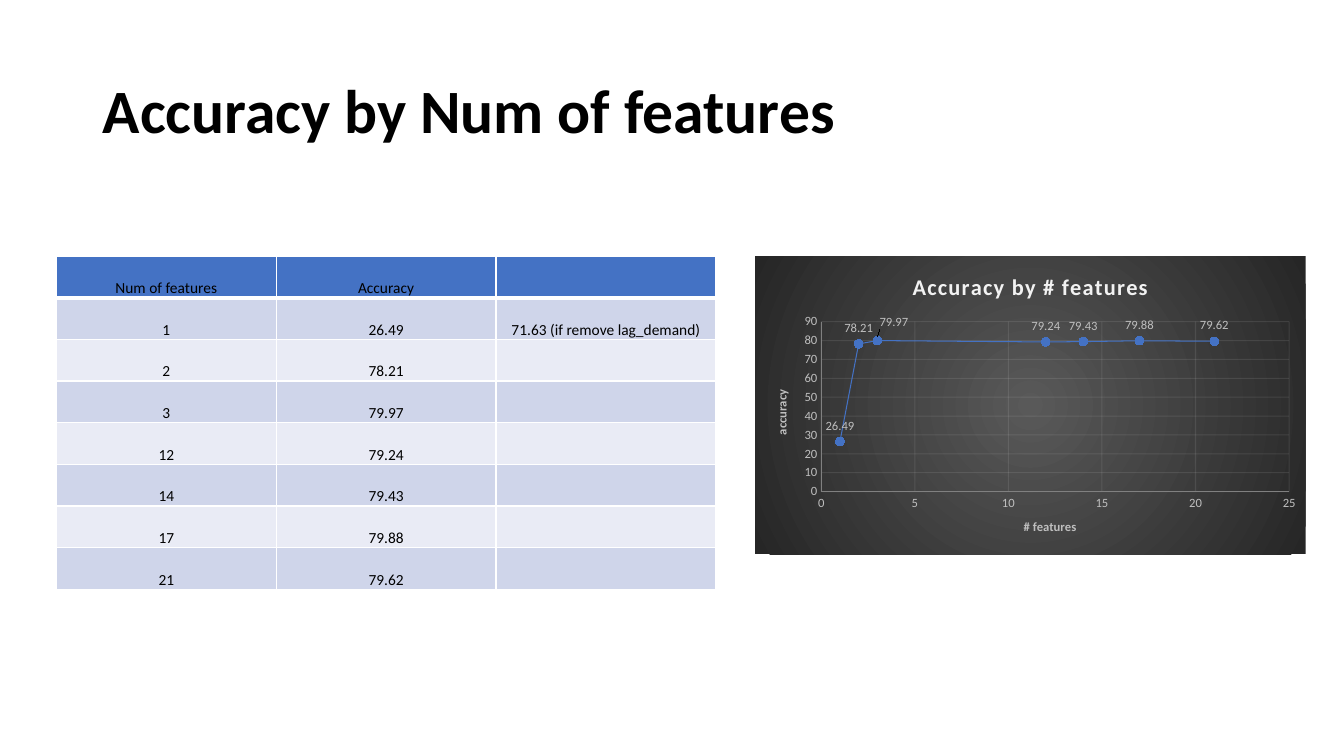
from lxml import etree
from pptx import Presentation
from pptx.chart.data import XyChartData
from pptx.dml.color import RGBColor
from pptx.enum.chart import XL_CHART_TYPE, XL_LABEL_POSITION, XL_MARKER_STYLE, XL_TICK_MARK
from pptx.enum.text import MSO_ANCHOR, PP_ALIGN
from pptx.oxml import parse_xml
from pptx.oxml.ns import nsdecls, qn
from pptx.util import Inches, Pt

FONT = "Calibri"
BLACK = RGBColor(0x00, 0x00, 0x00)
WHITE = RGBColor(0xFF, 0xFF, 0xFF)
BLUE = RGBColor(0x44, 0x72, 0xC4)
MARKER_BLUE = RGBColor(0x3E, 0x70, 0xCA)
BAND_DARK = RGBColor(0xCF, 0xD5, 0xEA)
BAND_LIGHT = RGBColor(0xE9, 0xEB, 0xF5)
PALE = RGBColor(0xF2, 0xF2, 0xF2)
LABEL_GREY = RGBColor(0xBF, 0xBF, 0xBF)
AXIS_GREY = RGBColor(0x80, 0x80, 0x80)
GLOW_GREY = RGBColor(0x59, 0x59, 0x59)
EDGE_GREY = RGBColor(0x26, 0x26, 0x26)

RESULTS = [(1, 26.49), (2, 78.21), (3, 79.97), (12, 79.24),
           (14, 79.43), (17, 79.88), (21, 79.62)]
NOTES = {1: "71.63 (if remove lag_demand)"}


def style_font(font, size, color, bold=False):
    font.name = FONT
    font.size = Pt(size)
    font.bold = bold
    font.color.rgb = color


def add_run(paragraph, text, size, color, bold=False):
    run = paragraph.add_run()
    run.text = text
    style_font(run.font, size, color, bold)
    return run


def add_title(slide, text):
    title = slide.shapes.title
    title.left, title.top = Inches(0.92), Inches(0.4)
    title.width, title.height = Inches(11.5), Inches(1.45)
    title.text_frame.word_wrap = True
    title.text_frame.vertical_anchor = MSO_ANCHOR.MIDDLE
    paragraph = title.text_frame.paragraphs[0]
    paragraph.alignment = PP_ALIGN.LEFT
    paragraph.line_spacing = 0.9
    add_run(paragraph, text, 44, BLACK, bold=True)


# Table
def set_borders(cell, widths):
    properties = cell._tc.get_or_add_tcPr()
    for index, (side, width) in enumerate(widths.items()):
        properties.insert(index, parse_xml(
            f'<a:ln{side} {nsdecls("a")} w="{Pt(width)}"><a:solidFill>'
            f'<a:srgbClr val="{WHITE}"/></a:solidFill></a:ln{side}>'))


def fill_cell(cell, text, fill, borders):
    cell.fill.solid()
    cell.fill.fore_color.rgb = fill
    set_borders(cell, borders)
    cell.vertical_anchor = MSO_ANCHOR.BOTTOM
    cell.margin_left = cell.margin_right = cell.margin_top = Inches(0.01)
    cell.margin_bottom = 0
    if text:
        paragraph = cell.text_frame.paragraphs[0]
        paragraph.alignment = PP_ALIGN.CENTER
        add_run(paragraph, text, 11, BLACK)


def add_results_table(slide):
    rows = [("Num of features", "Accuracy", "")]
    rows += [(str(count), str(accuracy), NOTES.get(count, ""))
             for count, accuracy in RESULTS]
    table = slide.shapes.add_table(len(rows), 3, Inches(0.56), Inches(2.54),
                                   Inches(6.54), Inches(3.31)).table
    for row_index, row in enumerate(rows):
        fill = BLUE if row_index == 0 else (BAND_LIGHT, BAND_DARK)[row_index % 2]
        borders = {"L": 1, "R": 1, "T": 3 if row_index == 1 else 1,
                   "B": 3 if row_index == 0 else 1}
        for column_index, text in enumerate(row):
            fill_cell(table.cell(row_index, column_index), text, fill, borders)


# Chart
def make_layout(**values):
    layout = etree.Element(qn("c:layout"))
    manual = etree.SubElement(layout, qn("c:manualLayout"))
    for name, value in values.items():
        etree.SubElement(manual, qn(f"c:{name}"), val=str(value))
    return layout


def set_chart_background(chart):
    stops = "".join(
        f'<a:gs pos="{position}"><a:srgbClr val="{color}"/></a:gs>'
        for position, color in ((0, GLOW_GREY), (100000, EDGE_GREY)))
    chart._chartSpace.chart.addnext(parse_xml(
        f'<c:spPr {nsdecls("c", "a")}><a:gradFill><a:gsLst>{stops}</a:gsLst>'
        '<a:path path="circle"><a:fillToRect l="50000" t="50000" r="50000" b="50000"/>'
        '</a:path></a:gradFill><a:ln><a:noFill/></a:ln></c:spPr>'))


def style_axis(axis, title, maximum, step):
    axis.minimum_scale, axis.maximum_scale, axis.major_unit = 0, maximum, step
    axis.major_tick_mark = axis.minor_tick_mark = XL_TICK_MARK.NONE
    style_font(axis.tick_labels.font, 9, LABEL_GREY)
    add_run(axis.axis_title.text_frame.paragraphs[0], title, 9, LABEL_GREY, bold=True)
    axis.has_major_gridlines = True
    for line, color in ((axis.format.line, AXIS_GREY),
                        (axis.major_gridlines.format.line, PALE)):
        line.width = Pt(0.75)
        line.color.rgb = color
    grid_color = axis.major_gridlines._xAx.find(qn("c:majorGridlines")).find(
        ".//" + qn("a:srgbClr"))
    etree.SubElement(grid_color, qn("a:alpha"), val="10000")


def style_series(series):
    series.smooth = False
    series.format.line.width = Pt(0.75)
    series.format.line.color.rgb = BLUE
    series.marker.style = XL_MARKER_STYLE.CIRCLE
    series.marker.size = 6
    series.marker.format.fill.solid()
    series.marker.format.fill.fore_color.rgb = MARKER_BLUE
    series.marker.format.line.color.rgb = BLUE
    for index in range(len(RESULTS)):
        label = series.points[index].data_label
        style_font(label.font, 9, LABEL_GREY)
        label.position = XL_LABEL_POSITION.ABOVE
    # Keep the third label clear of its neighbour
    third_label = series._element.findall(".//" + qn("c:dLbl"))[2]
    third_label.find(qn("c:idx")).addnext(make_layout(x=0.03, y=-0.01))


def add_accuracy_chart(slide):
    data = XyChartData()
    series_data = data.add_series("Series 1")
    for count, accuracy in RESULTS:
        series_data.add_data_point(count, accuracy)
    chart = slide.shapes.add_chart(
        XL_CHART_TYPE.XY_SCATTER_LINES, Inches(7.49), Inches(2.54),
        Inches(5.46), Inches(2.96), data).chart
    style_font(chart.font, 10, BLACK)
    chart.has_legend = False
    chart.plots[0].vary_by_categories = False
    set_chart_background(chart)
    run = add_run(chart.chart_title.text_frame.paragraphs[0],
                  "Accuracy by # features", 16, PALE, bold=True)
    run.font._element.set("spc", "100")
    chart.chart_title.include_in_layout = False
    style_axis(chart.category_axis, "# features", 25, 5)
    style_axis(chart.value_axis, "accuracy", 90, 10)
    style_series(chart.plots[0].series[0])
    plot_area = chart._chartSpace.chart.plotArea
    for layout in plot_area.findall(qn("c:layout")):
        plot_area.remove(layout)
    plot_area.insert(0, make_layout(layoutTarget="inner", xMode="edge", yMode="edge",
                                    x=0.12, y=0.22, w=0.85, h=0.57))


def main():
    presentation = Presentation()
    presentation.slide_width = Inches(13.33)
    presentation.slide_height = Inches(7.5)
    slide = presentation.slides.add_slide(presentation.slide_layouts[5])
    add_title(slide, "Accuracy by Num of features")
    add_results_table(slide)
    add_accuracy_chart(slide)
    presentation.save("out.pptx")


main()
